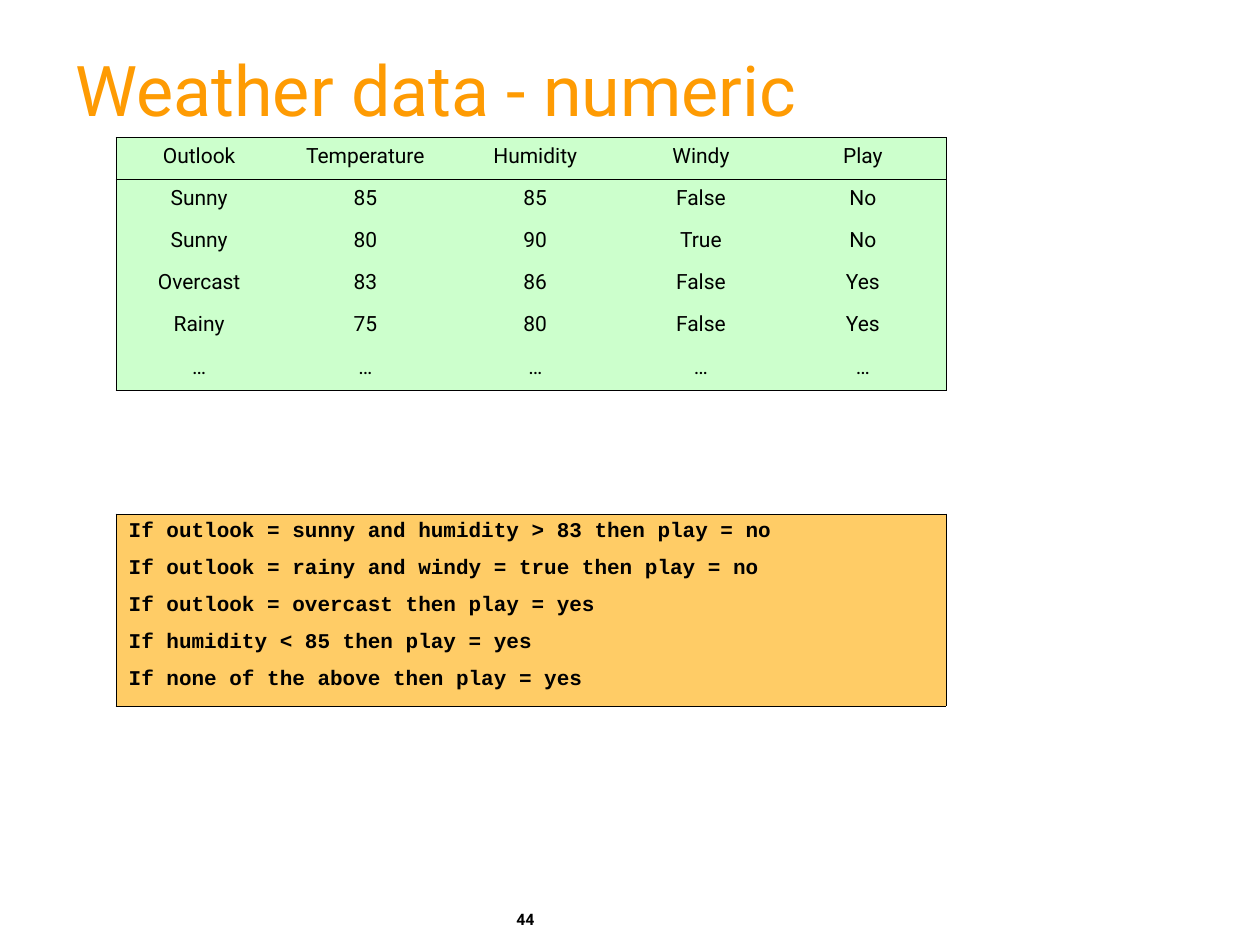
from lxml import etree
from pptx import Presentation
from pptx import util as u
from pptx.dml.color import RGBColor
from pptx.enum import text
from pptx.oxml.ns import qn

WEATHER = [
    ["Outlook", "Temperature", "Humidity", "Windy", "Play"],
    ["Sunny", "85", "85", "False", "No"],
    ["Sunny", "80", "90", "True", "No"],
    ["Overcast", "83", "86", "False", "Yes"],
    ["Rainy", "75", "80", "False", "Yes"],
    ["…"] * 5,
]
RULES = [
    "If outlook = sunny and humidity > 83 then play = no",
    "If outlook = rainy and windy = true then play = no",
    "If outlook = overcast then play = yes",
    "If humidity < 85 then play = yes",
    "If none of the above then play = yes",
]


def color(hex_value):
    return RGBColor.from_string(hex_value)


class SlideBuilder:
    FONT, CODE_FONT = "Roboto", "Courier New"
    INK, ORANGE, GREEN, AMBER = "000000", "FE9B03", "CCFFCC", "FFCC66"
    BORDER = u.Pt(0.45)

    def __init__(self, slide):
        self.slide = slide

    def style(self, paragraph, size, font=FONT, ink=INK, bold=False):
        paragraph.font.size = u.Pt(size)
        paragraph.font.name = font
        paragraph.font.bold = bold
        paragraph.font.color.rgb = color(ink)

    def place(self, shape, left, top, width, height):
        shape.left, shape.top = u.Cm(left), u.Cm(top)
        shape.width, shape.height = u.Cm(width), u.Cm(height)

    def title(self, wording, *box):
        heading = self.slide.shapes.title
        self.place(heading, *box)
        frame = heading.text_frame
        frame.text = wording
        frame.auto_size = text.MSO_AUTO_SIZE.NONE
        frame.vertical_anchor = text.MSO_ANCHOR.MIDDLE
        line = frame.paragraphs[0]
        line.alignment = text.PP_ALIGN.LEFT
        line.line_spacing = 0.85
        self.style(line, 40, ink=self.ORANGE)

    def borders(self, cell, drawn):
        """Draw the named sides (from L, R, T, B) and clear the others."""
        properties = cell._tc.get_or_add_tcPr()
        for side in "LRTB":
            edge = etree.SubElement(properties, qn(f"a:ln{side}"), w=str(self.BORDER))
            if side in drawn:
                fill = etree.SubElement(edge, qn("a:solidFill"))
                etree.SubElement(fill, qn("a:srgbClr"), val=self.INK)
            else:
                etree.SubElement(edge, qn("a:noFill"))

    def table(self, rows, left, top, widths, row_height, fill, align, **font):
        """Framed table; a rule follows the first row."""
        grid = self.slide.shapes.add_table(
            len(rows), len(widths), u.Cm(left), u.Cm(top),
            u.Cm(sum(widths)), u.Cm(row_height * len(rows))).table
        grid.first_row = grid.horz_banding = False
        for column, width in zip(grid.columns, widths):
            column.width = u.Cm(width)
        for r, row in enumerate(rows):
            grid.rows[r].height = u.Cm(row_height)
            for c, wording in enumerate(row):
                cell = grid.cell(r, c)
                sides = {"L": c == 0, "R": c == len(widths) - 1,
                         "T": r <= 1, "B": r in (0, len(rows) - 1)}
                self.borders(cell, [side for side, on in sides.items() if on])
                cell.fill.solid()
                cell.fill.fore_color.rgb = color(fill)
                cell.text = wording
                for i, line in enumerate(cell.text_frame.paragraphs):
                    line.alignment = align
                    if i:
                        line.space_before = u.Pt(7.5)
                    self.style(line, 12, **font)

    def page_number(self, number, *box):
        frame = self.slide.shapes.add_textbox(*map(u.Cm, box)).text_frame
        frame.word_wrap = True
        frame.text = number
        self.style(frame.paragraphs[0], 9, bold=True)


def main():
    deck = Presentation()
    deck.slide_width, deck.slide_height = u.Cm(25.4), u.Cm(19.05)
    page = SlideBuilder(deck.slides.add_slide(deck.slide_layouts[5]))

    page.title("Weather data - numeric", 1.27, 0.64, 23.06, 2.54)

    # Weather samples
    widths = [3.35, 3.35, 3.5, 3.18, 3.35]
    page.table(WEATHER, 2.34, 2.77, widths, 0.85, page.GREEN,
               text.PP_ALIGN.CENTER)

    # Rules learned from the samples
    page.table([["\n".join(RULES)]], 2.34, 10.36, [sum(widths)], 3.87, page.AMBER,
               text.PP_ALIGN.LEFT, font=page.CODE_FONT, bold=True)

    page.page_number("44", 10.16, 18.21, 2.6, 0.84)
    deck.save("out.pptx")


if __name__ == "__main__":
    main()
